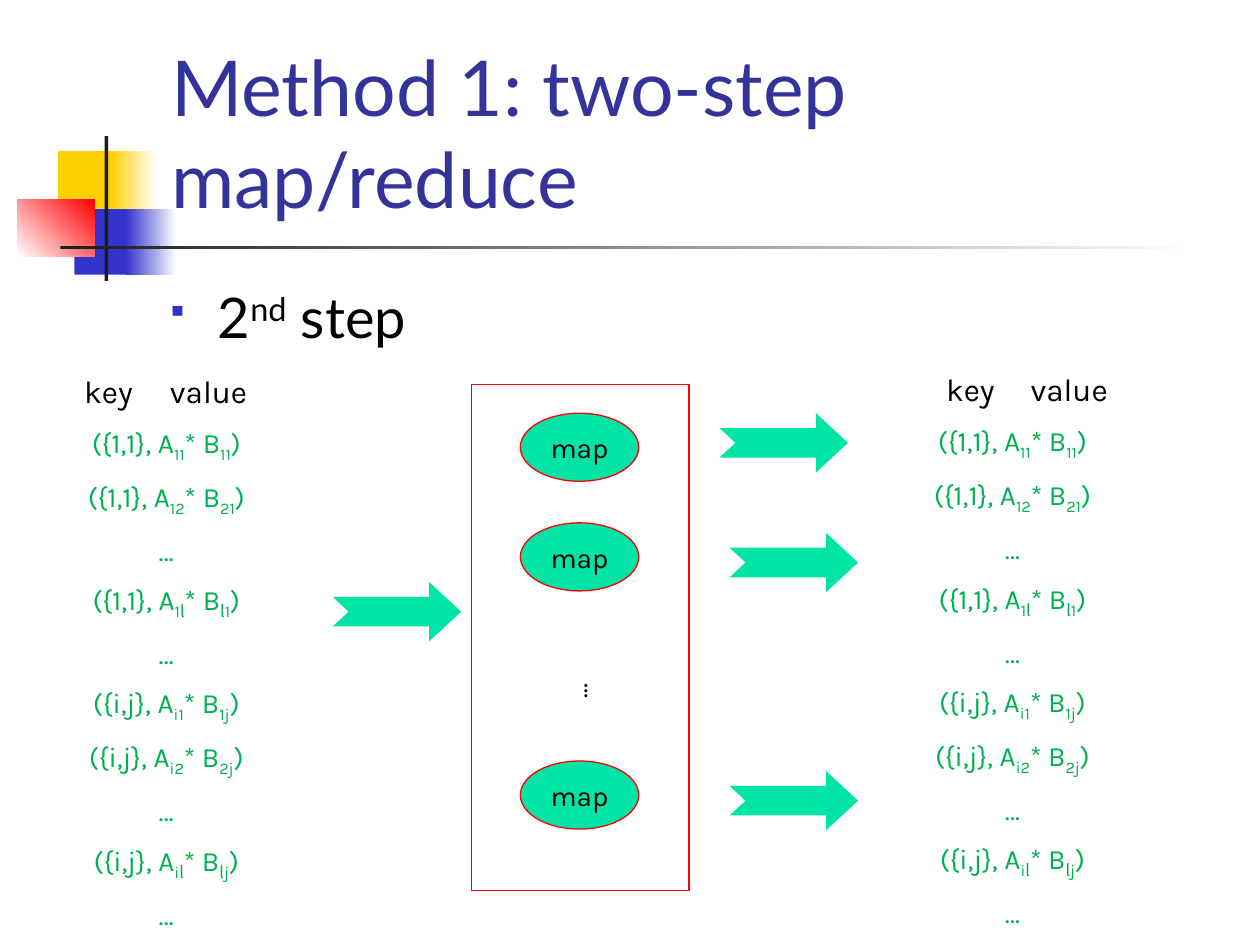
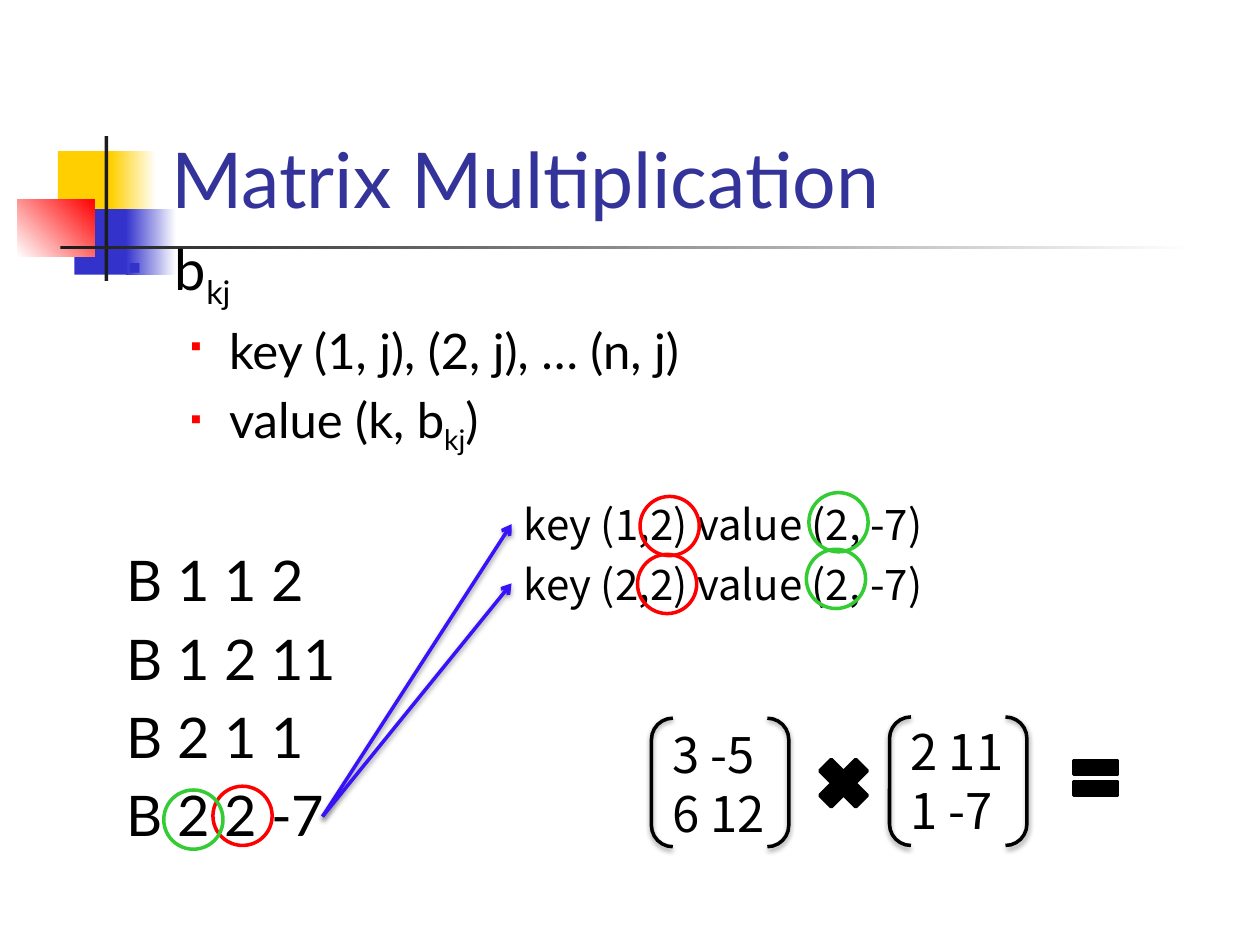
from lxml import etree
from pptx import Presentation
from pptx.dml.color import RGBColor
from pptx.enum.shapes import MSO_CONNECTOR, MSO_SHAPE
from pptx.enum.text import MSO_ANCHOR, PP_ALIGN
from pptx.oxml.ns import qn
from pptx.util import Inches, Pt

RECT, OVAL = MSO_SHAPE.RECTANGLE, MSO_SHAPE.OVAL
ARROW, BRACKETS = MSO_SHAPE.NOTCHED_RIGHT_ARROW, MSO_SHAPE.DOUBLE_BRACKET
TIMES, EQUALS = MSO_SHAPE.MATH_MULTIPLY, MSO_SHAPE.MATH_EQUAL
STRAIGHT = MSO_CONNECTOR.STRAIGHT
MIDDLE, BOTTOM, CENTER = MSO_ANCHOR.MIDDLE, MSO_ANCHOR.BOTTOM, PP_ALIGN.CENTER

COLORS = {
    "white": "FFFFFF", "black": "000000", "ink": "1C1C1C", "title": "333399",
    "yellow": "FFCF01", "blue": "3333CC", "red": "FF0000", "mint": "00E4A8",
    "green": "00B050", "ring": "33CC33", "arrow": "3812F8",
}
LATO, KARLA, NOTO = "Lato", "Karla", "Noto Sans CJK KR"
SUB, SUPER = -25, 30

MOTIF = [
    (0.46, 1.2, 0.48, 0.52, "yellow", None, 0),
    (0.88, 1.2, 0.36, 0.52, "yellow", "white", 0),
    (0.59, 1.66, 0.46, 0.52, "blue", None, 0),
    (1, 1.66, 0.4, 0.52, "blue", "white", 0),
    (0.14, 1.58, 0.61, 0.46, "white", "red", 45),
    (0.83, 1.08, 0.03, 1.15, "ink", None, 0),
    (0.48, 1.95, 9, 0.03, "ink", "white", 0),
]
BULLETS = [("blue", 60, 0.38, 0.38), ("red", 55, 0.81, 0.31)]

CELLS = [("1", "1"), ("i", "j")]
STEPS = ["1", "2", "…", "l", "…"]
PAIR_COLUMNS = [((6.54, 2.89, 2.99, 4.44), (0.87, 1.54)),
                ((0.08, 2.9, 2.48, 4.44), (0.49, 1.17))]
MAP_TOPS = [3.28, 4.15, 6.04]
FLOW_ARROWS = [(2.64, 4.62), (5.79, 4.23), (5.71, 3.28), (5.79, 6.12)]

KEY_VALUE = [
    (0, 32, ("b", "kj")),
    (1, 28, ("key (1, j), (2, j), … (n, j)",)),
    (1, 28, ("value (k, b", "kj", ")")),
]
B_ENTRIES = ["B 1 1 2", "B 1 2 11", "B 2 1 1", "B 2 2 -7"]
MATRICES = [(5.17, 5.7, 5.7, ["3 -5", "6 12"]), (7.06, 5.69, 5.68, ["2 11", "1 -7"])]
OPERATORS = [(TIMES, 6.42, 5.94, 0.55), (EQUALS, 8.46, 5.94, 0.47)]
EMITTED = [(3.91, 4.16, "key (1,2) value (2, -7)"),
           (4.38, 4.63, "key (2,2) value (2, -7)")]
RINGS = {
    "red": [(1.69, 6.24), (5.08, 3.94), (5.06, 4.4)],
    "ring": [(1.3, 6.27), (6.42, 3.91), (6.4, 4.36)],
}


def rgb(name):
    return RGBColor.from_string(COLORS[name])


def add_effects(shape, shadow):
    effects = etree.SubElement(shape._element.spPr, qn("a:effectLst"))
    if shadow:
        outer = etree.SubElement(effects, qn("a:outerShdw"), blurRad=str(Pt(3.1)),
                                 dist=str(Pt(1.6)), dir="5400000", rotWithShape="0")
        color = etree.SubElement(outer, qn("a:srgbClr"), val=COLORS["black"])
        etree.SubElement(color, qn("a:alpha"), val="38000")


def add_figure(slide, kind, at, fill=None, line=None, width=2, shadow=False):
    shape = slide.shapes.add_shape(kind, *map(Inches, at))
    if fill:
        shape.fill.solid()
        shape.fill.fore_color.rgb = rgb(fill)
    else:
        shape.fill.background()
    if line:
        shape.line.color.rgb = rgb(line)
        shape.line.width = Pt(width)
    else:
        shape.line.fill.background()
    add_effects(shape, shadow)
    return shape


def add_text(slide, at, wrap=True, anchor=MSO_ANCHOR.TOP):
    box = slide.shapes.add_textbox(*map(Inches, at))
    box.text_frame.word_wrap = wrap
    box.text_frame.vertical_anchor = anchor
    return box


def add_para(frame, gap=0, align=None):
    first = not frame.paragraphs[0].runs
    para = frame.paragraphs[0] if first else frame.add_paragraph()
    para.space_before = Pt(0 if first else gap)
    if align is not None:
        para.alignment = align
    return para


def add_span(para, text, size, font, color="black", baseline=0):
    span = para.add_run()
    span.text = text
    span.font.size = Pt(size)
    span.font.name = font
    span.font.color.rgb = rgb(color)
    if baseline:
        span._r.get_or_add_rPr().set("baseline", str(baseline * 1000))


def add_spans(para, parts, size, font, color="black", shift=SUB):
    for index, part in enumerate(parts):
        if index % 2 == 0:
            add_span(para, part, size, font, color)
        elif "l" in part:
            for letter in part:
                add_span(para, letter, size, NOTO if letter == "l" else font, color, shift)
        else:
            add_span(para, part, size, font, color, shift)


def set_indent(para, margin, hang):
    props = para._p.get_or_add_pPr()
    props.set("marL", str(Inches(margin)))
    props.set("indent", str(-Inches(hang)))
    return props


def add_bullet(para, level):
    color, percent, margin, hang = BULLETS[level]
    para.level = level
    props = set_indent(para, margin, hang)
    fill = etree.SubElement(props, qn("a:buClr"))
    etree.SubElement(fill, qn("a:srgbClr"), val=COLORS[color])
    etree.SubElement(props, qn("a:buSzPct"), val=str(percent * 1000))
    etree.SubElement(props, qn("a:buFont"), typeface="Wingdings")
    etree.SubElement(props, qn("a:buChar"), char="§")


def add_base(deck):
    slide = deck.slides.add_slide(deck.slide_layouts[6])
    for *at, color, end, angle in MOTIF:
        block = add_figure(slide, RECT, at, color)
        if end:
            block.fill.gradient()
            block.fill.gradient_angle = angle
            for stop, name in zip(block.fill.gradient_stops, (color, end)):
                stop.color.rgb = rgb(name)
    return slide


def add_title(slide, text):
    box = add_text(slide, (1.26, 0.23, 8.52, 1.6), anchor=BOTTOM)
    add_span(add_para(box.text_frame), text, 44, LATO, "title")


def add_pairs(slide, at, stops):
    frame = add_text(slide, at).text_frame
    header = add_para(frame)
    tabs = etree.SubElement(header._p.get_or_add_pPr(), qn("a:tabLst"))
    for stop in stops:
        etree.SubElement(tabs, qn("a:tab"), pos=str(Inches(stop)), algn="l")
    add_span(header, "\tkey\tvalue", 18, KARLA)
    for row, column in CELLS:
        for step in STEPS:
            parts = (f"({{{row},{column}}}, A", row + step, "* B", step + column, ")")
            para = add_para(frame, 9, CENTER)
            add_spans(para, ("…",) if step == "…" else parts, 16, KARLA, "green")


def build_second_step(deck):
    slide = add_base(deck)
    step = add_para(add_text(slide, (1.25, 2.19, 8.5, 4.5)).text_frame)
    add_bullet(step, 0)
    add_spans(step, ("2", "nd", " step"), 32, LATO, shift=SUPER)
    add_title(slide, "Method 1: two-step map/reduce")

    for top in MAP_TOPS:
        mapper = add_figure(slide, OVAL, (4.13, top, 0.94, 0.54), "mint", "red", 0.75)
        mapper.text_frame.word_wrap = False
        mapper.text_frame.vertical_anchor = MIDDLE
        add_span(add_para(mapper.text_frame, align=CENTER), "map", 16, KARLA)
    dots = add_text(slide, (4.41, 5.3, 0.63, 0.37))
    dots.rotation = 90
    add_span(add_para(dots.text_frame, align=CENTER), "…", 16, KARLA)
    for left, top in FLOW_ARROWS:
        arrow = add_figure(slide, ARROW, (left, top, 1.02, 0.47), "mint")
        arrow.adjustments[0] = 0.5
        arrow.adjustments[1] = 0.54
    add_figure(slide, RECT, (3.74, 3.05, 1.73, 4.02), None, "red", 0.75)
    for at, stops in PAIR_COLUMNS:
        add_pairs(slide, at, stops)


def build_multiplication(deck):
    slide = add_base(deck)
    add_title(slide, "Matrix Multiplication")
    frame = add_text(slide, (0.91, 1.81, 8.5, 5.16)).text_frame
    for level, size, parts in KEY_VALUE:
        para = add_para(frame, size * 0.2)
        add_bullet(para, level)
        add_spans(para, parts, size, LATO)
    for index, entry in enumerate(B_ENTRIES):
        para = add_para(frame, 6.4 if index else 51.2)
        set_indent(para, 0.38, 0.38)
        add_span(para, entry, 32, LATO)

    for kind, left, top, side in OPERATORS:
        add_figure(slide, kind, (left, top, side, side), "black", "black")
    for left, top, text_top, rows in MATRICES:
        box = add_text(slide, (left + 0.07, text_top, 0.97, 1.04), wrap=False)
        for row in rows:
            add_span(add_para(box.text_frame), row, 28, NOTO)
        add_figure(slide, BRACKETS, (left, top, 1.09, 1.02), None, "black", shadow=True)

    for top, tip, text in EMITTED:
        box = add_text(slide, (4.06, top, 3.4, 0.5), wrap=False)
        add_span(add_para(box.text_frame), text, 24, NOTO)
    for top, tip, text in EMITTED:
        link = slide.shapes.add_connector(STRAIGHT, *map(Inches, (2.56, 6.48, 4.06, tip)))
        link.line.color.rgb = rgb("arrow")
        link.line.width = Pt(2)
        etree.SubElement(link.line._get_or_add_ln(), qn("a:tailEnd"), type="arrow")
        add_effects(link, True)
    for color, corners in RINGS.items():
        for left, top in corners:
            add_figure(slide, OVAL, (left, top, 0.47, 0.47), None, color)


def main():
    deck = Presentation()
    deck.slide_width, deck.slide_height = Inches(10), Inches(7.5)
    build_second_step(deck)
    build_multiplication(deck)
    deck.save("out.pptx")


if __name__ == "__main__":
    main()
